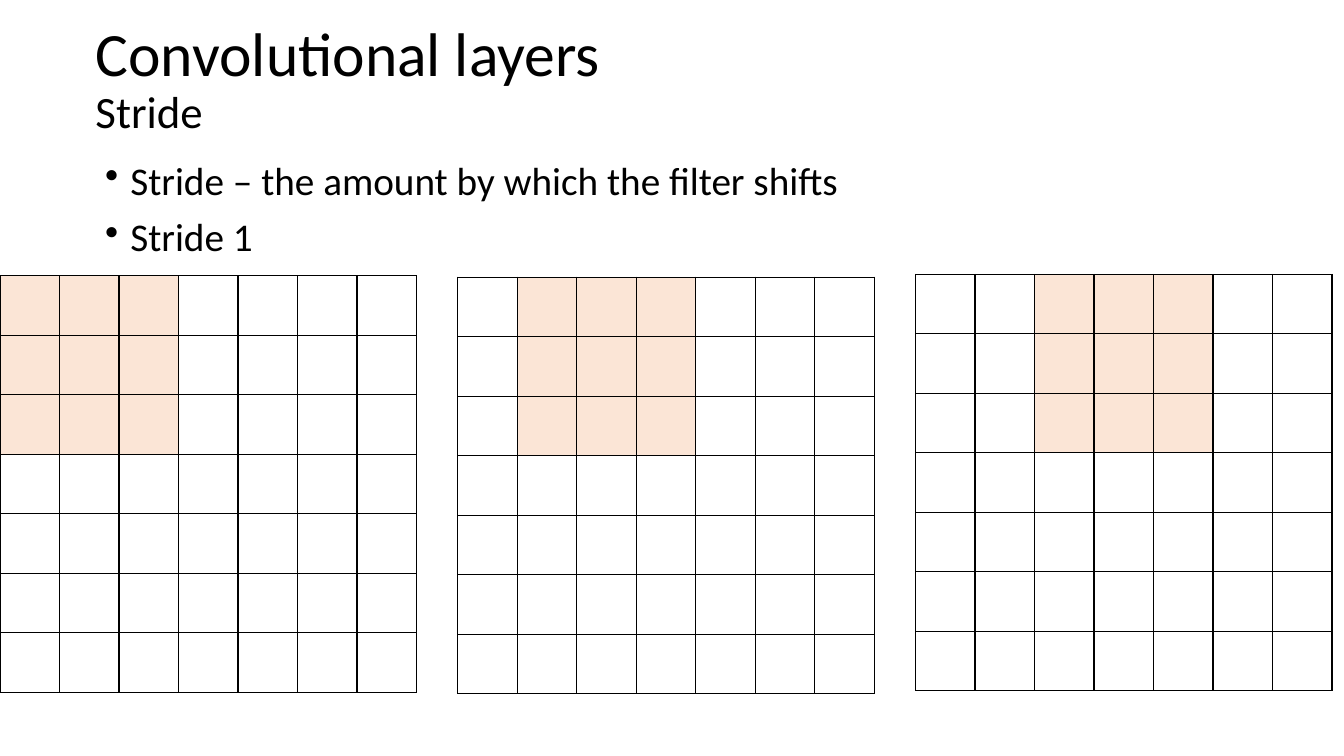
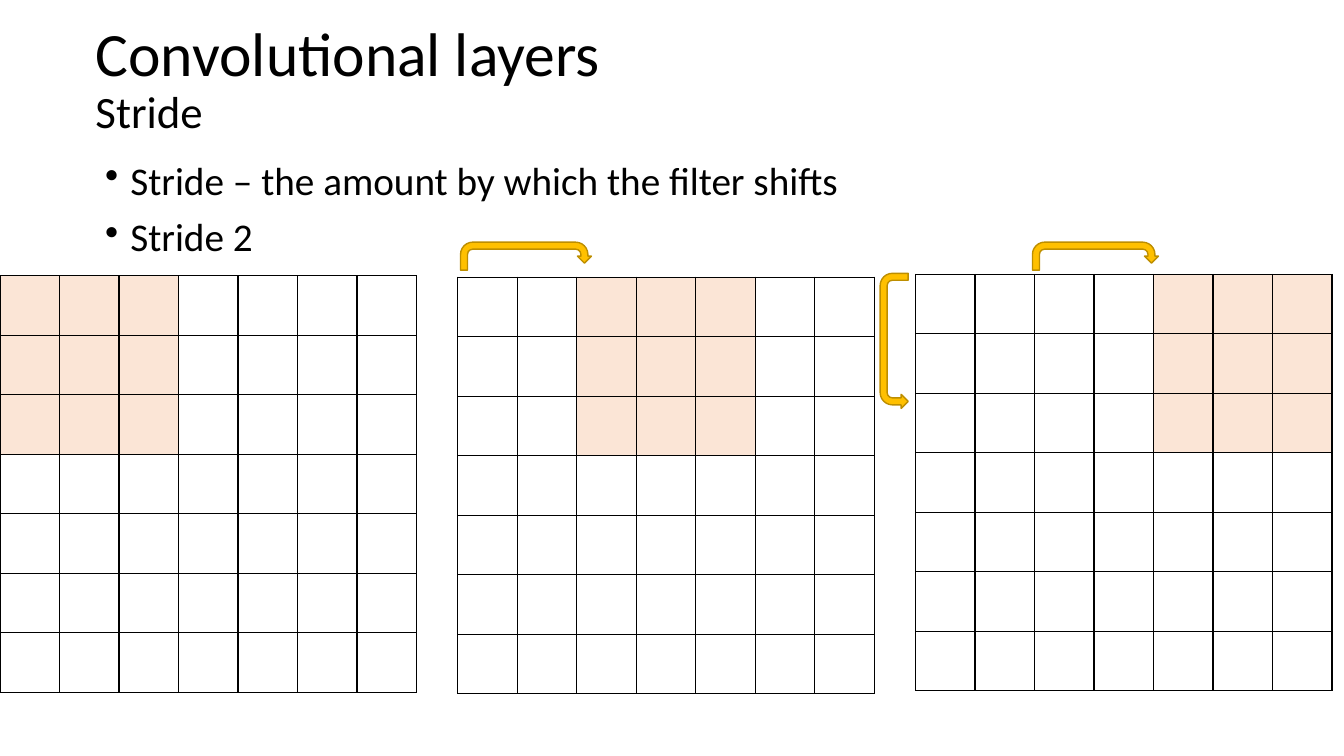
"""Build two slides that show how a convolution filter moves with stride 1 and stride 2."""
from dataclasses import dataclass

from lxml import etree
from pptx import Presentation
from pptx.dml.color import RGBColor
from pptx.enum.shapes import MSO_SHAPE
from pptx.enum.text import MSO_ANCHOR, PP_ALIGN
from pptx.oxml.ns import qn
from pptx.util import Pt

UTURN = MSO_SHAPE.U_TURN_ARROW
LEFT = PP_ALIGN.LEFT
MIDDLE = MSO_ANCHOR.MIDDLE
TOP = MSO_ANCHOR.TOP
TITLE_ONLY = 5


@dataclass(frozen=True)
class Theme:
    font: str = "Calibri"
    ink: str = "000000"
    paper: str = "FFFFFF"
    window: str = "FBE5D6"
    arrow: str = "FFC000"
    arrow_edge: str = "BD8E00"
    title_size: int = 44
    subtitle_size: int = 32
    body_size: int = 28
    line_spacing: float = 0.9
    line_width: int = 1


THEME = Theme()
CELL = 42.5
GRID_CELLS = 7
WINDOW_CELLS = 3
GRID_STEP = 327
GRID_TOPS = (197, 198, 196)


def color(value):
    return RGBColor.from_string(value)


def style_span(span, size):
    span.font.name = THEME.font
    span.font.size = Pt(size)
    span.font.color.rgb = color(THEME.ink)


def style_para(para):
    para.alignment = LEFT
    para.line_spacing = THEME.line_spacing


def add_title(page, title, subtitle):
    box = page.shapes.title
    box.left, box.top, box.width, box.height = Pt(61), Pt(6), Pt(828), Pt(104)
    frame = box.text_frame
    frame.vertical_anchor = MIDDLE
    para = frame.paragraphs[0]
    para.text = f"{title}\v{subtitle}"
    style_para(para)
    for span, size in zip(para.runs, (THEME.title_size, THEME.subtitle_size)):
        style_span(span, size)


def add_bullets(page, lines):
    box = page.shapes.add_textbox(Pt(68), Pt(112), Pt(828), Pt(343))
    frame = box.text_frame
    frame.word_wrap = True
    frame.vertical_anchor = TOP
    frame.text = "\n".join(lines)
    for para in frame.paragraphs:
        style_para(para)
        para.space_before = Pt(10)
        style_span(para.runs[0], THEME.body_size)
        properties = para._p.get_or_add_pPr()
        properties.set("marL", str(Pt(18)))
        properties.set("indent", str(-Pt(18)))
        etree.SubElement(properties, qn("a:buChar"), char="•")


def add_borders(cell):
    properties = cell._tc.get_or_add_tcPr()
    for side in ("lnL", "lnR", "lnT", "lnB"):
        line = etree.SubElement(properties, qn(f"a:{side}"), w=str(Pt(THEME.line_width)))
        fill = etree.SubElement(line, qn("a:solidFill"))
        etree.SubElement(fill, qn("a:srgbClr"), val=THEME.ink)


def add_grid(page, left, top, window_start):
    side = Pt(CELL * GRID_CELLS)
    table = page.shapes.add_table(GRID_CELLS, GRID_CELLS, Pt(left), Pt(top), side, side).table
    table.first_row = False
    table.horz_banding = False
    for track in table.columns:
        track.width = Pt(CELL)
    for track in table.rows:
        track.height = Pt(CELL)
    window = range(window_start, window_start + WINDOW_CELLS)
    for row in range(GRID_CELLS):
        for column in range(GRID_CELLS):
            cell = table.cell(row, column)
            add_borders(cell)
            covered = row < WINDOW_CELLS and column in window
            cell.fill.solid()
            cell.fill.fore_color.rgb = color(THEME.window if covered else THEME.paper)


def add_shift_arrow(page, left, top, width):
    arrow = page.shapes.add_shape(UTURN, Pt(left), Pt(top), Pt(width), Pt(20))
    arrow.shadow.inherit = False
    arrow.fill.solid()
    arrow.fill.fore_color.rgb = color(THEME.arrow)
    arrow.line.color.rgb = color(THEME.arrow_edge)
    arrow.line.width = Pt(THEME.line_width)
    return arrow


def add_down_shift_arrow(page, left, top, width):
    arrow = add_shift_arrow(page, left, top, width)
    arrow.adjustments[4] = 1
    arrow.rotation = 270
    arrow._element.spPr.find(qn("a:xfrm")).set("flipH", "1")


def add_stride_page(deck, stride):
    page = deck.slides.add_slide(deck.slide_layouts[TITLE_ONLY])
    add_title(page, "Convolutional layers", "Stride")
    add_bullets(page, ("Stride – the amount by which the filter shifts", f"Stride {stride}"))
    for index, top in enumerate(GRID_TOPS):
        add_grid(page, index * GRID_STEP, top, index * stride)
    return page


def main():
    deck = Presentation()
    deck.slide_width, deck.slide_height = Pt(960), Pt(540)
    add_stride_page(deck, 1)
    page = add_stride_page(deck, 2)
    add_shift_arrow(page, 329, 173, 93.5)
    add_shift_arrow(page, 737.5, 173, 90)
    add_down_shift_arrow(page, 590.5, 233.5, 96.5)
    deck.save("out.pptx")


if __name__ == "__main__":
    main()
